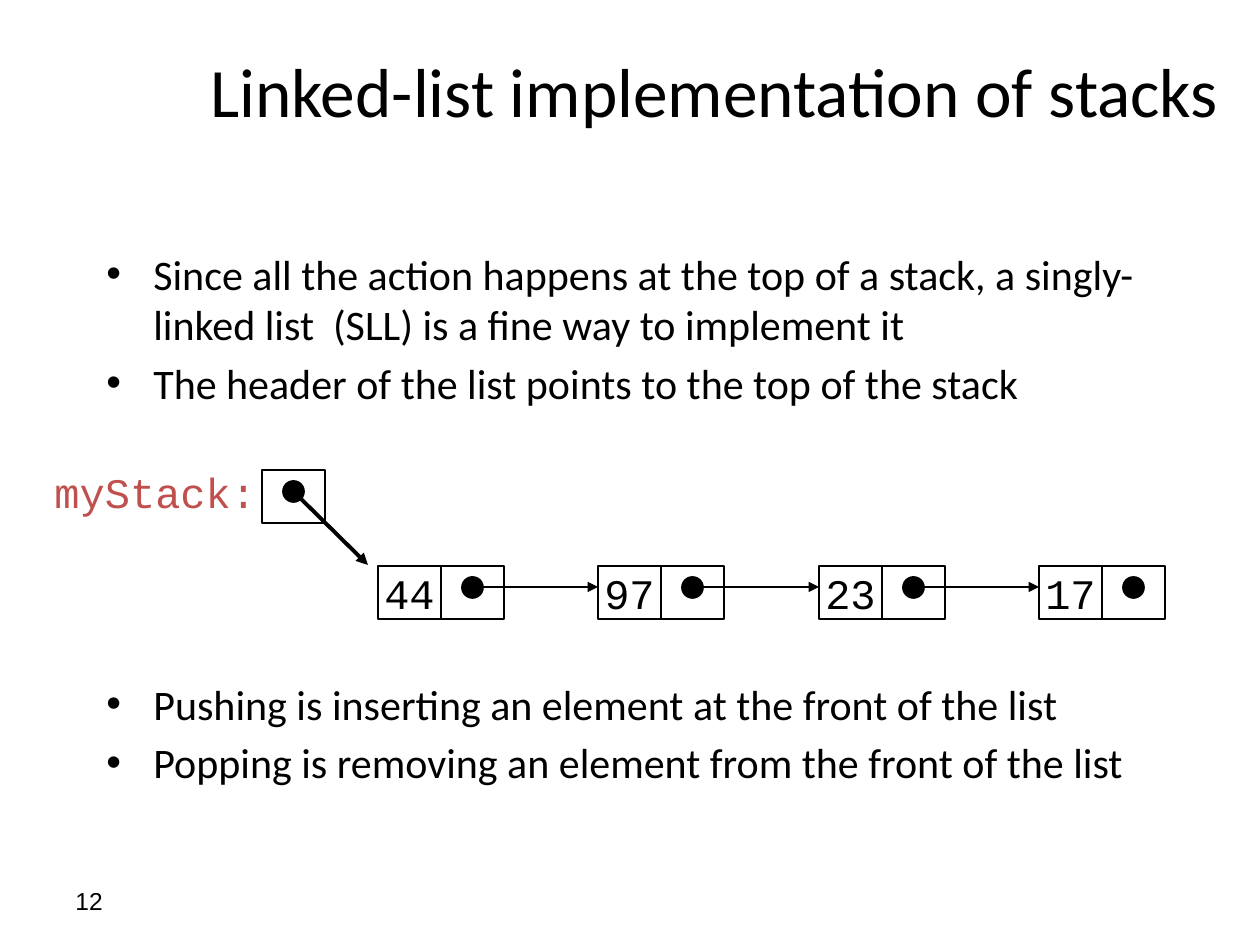
from dataclasses import dataclass
from pptx import Presentation
from pptx.dml.color import RGBColor
from pptx.enum.shapes import MSO_CONNECTOR, MSO_SHAPE
from pptx.enum.text import MSO_ANCHOR, MSO_AUTO_SIZE, PP_ALIGN
from pptx.oxml.ns import qn
from pptx.util import Emu, Pt
from lxml.etree import SubElement

PIXEL = 914400 // 126


@dataclass(frozen=True)
class Theme:
    ink: RGBColor = RGBColor(0, 0, 0)
    accent: RGBColor = RGBColor(0xC0, 0x50, 0x4D)
    text_font: str = "Calibri"
    code_font: str = "Courier New"
    number_font: str = "Arial"
    title_size: float = 39.6
    body_size: int = 24
    number_size: int = 14
    thin_line: float = 1
    thick_line: float = 2.25


class SlideBuilder:
    def __init__(self, slide, theme):
        self.slide = slide
        self.theme = theme

    def box(self, *lengths):
        return [Emu(length * PIXEL) for length in lengths]

    def format_text(self, paragraph, font_name, size, color=None):
        for run in paragraph.runs:
            run.font.name = font_name
            run.font.size = Pt(size)
            run.font.color.rgb = color or self.theme.ink

    def title(self, text, left, top, width, height):
        shape = self.slide.shapes.title
        shape.left, shape.top, shape.width, shape.height = self.box(left, top, width, height)
        frame = shape.text_frame
        frame.text = text
        frame.auto_size = MSO_AUTO_SIZE.NONE
        frame.vertical_anchor = MSO_ANCHOR.MIDDLE
        frame.paragraphs[0].alignment = PP_ALIGN.CENTER
        self.format_text(frame.paragraphs[0], self.theme.text_font, self.theme.title_size)

    def text(self, text, left, top, width, height, font_name, size, color=None, anchor=MSO_ANCHOR.TOP):
        frame = self.slide.shapes.add_textbox(*self.box(left, top, width, height)).text_frame
        frame.word_wrap = True
        frame.vertical_anchor = anchor
        frame.text = text
        for paragraph in frame.paragraphs:
            self.format_text(paragraph, font_name, size, color)
        return frame

    def bullets(self, items, left, top, width, height):
        frame = self.text("\n".join(items), left, top, width, height,
                          self.theme.text_font, self.theme.body_size)
        for paragraph in frame.paragraphs:
            paragraph.space_before = Pt(self.theme.body_size * 0.2)
            properties = paragraph._p.get_or_add_pPr()
            properties.set("marL", str(47 * PIXEL))
            properties.set("indent", str(-47 * PIXEL))
            SubElement(properties, qn("a:buFont"), typeface="Arial")
            SubElement(properties, qn("a:buChar"), char="•")

    def outline(self, kind, left, top, width, height):
        shape = self.slide.shapes.add_shape(kind, *self.box(left, top, width, height))
        shape.shadow.inherit = False
        shape.fill.background()
        shape.line.color.rgb = self.theme.ink
        shape.line.width = Pt(self.theme.thin_line)
        return shape

    def cell(self, left, top, text=""):
        shape = self.outline(MSO_SHAPE.RECTANGLE, left, top, CELL_WIDTH, CELL_HEIGHT)
        if text:
            frame = shape.text_frame
            frame.word_wrap = False
            frame.vertical_anchor = MSO_ANCHOR.MIDDLE
            frame.text = text
            frame.paragraphs[0].alignment = PP_ALIGN.CENTER
            self.format_text(frame.paragraphs[0], self.theme.code_font, self.theme.body_size)

    def dot(self, center_x, center_y):
        radius = DOT_SIZE // 2
        shape = self.outline(MSO_SHAPE.OVAL, center_x - radius, center_y - radius, DOT_SIZE, DOT_SIZE)
        shape.fill.solid()
        shape.fill.fore_color.rgb = self.theme.ink

    def arrow(self, start_x, start_y, end_x, end_y, width):
        connector = self.slide.shapes.add_connector(
            MSO_CONNECTOR.STRAIGHT, *self.box(start_x, start_y, end_x, end_y))
        connector.line.color.rgb = self.theme.ink
        connector.line.width = Pt(width)
        SubElement(connector.line._get_or_add_ln(), qn("a:tailEnd"), type="triangle")
        SubElement(connector._element.spPr, qn("a:effectLst"))


CELL_WIDTH, CELL_HEIGHT, DOT_SIZE = 63, 53, 21
NODE_LEFT, NODE_TOP, NODES_SPAN = 378, 566, 882
HEADER_LEFT, HEADER_TOP = 262, 470
DOT_DROP = 21
VALUES = ["44", "97", "23", "17"]

presentation = Presentation()
presentation.slide_width, presentation.slide_height = Emu(1260 * PIXEL), Emu(945 * PIXEL)
theme = Theme()
builder = SlideBuilder(presentation.slides.add_slide(presentation.slide_layouts[5]), theme)

builder.title("Linked-list implementation of stacks", 179, 32, 1071, 116)
builder.bullets([
    "Since all the action happens at the top of a stack, a singly-linked list  (SLL) "
    "is a fine way to implement it",
    "The header of the list points to the top of the stack",
], 94, 242, 1113, 179)

node_lefts = [NODE_LEFT + NODES_SPAN * index // len(VALUES) for index in range(len(VALUES))]
dot_y = NODE_TOP + DOT_DROP
for value, left, next_left in zip(VALUES, node_lefts, node_lefts[1:] + [None]):
    dot_x = left + CELL_WIDTH + CELL_WIDTH // 2
    builder.cell(left, NODE_TOP, value)
    builder.cell(left + CELL_WIDTH, NODE_TOP)
    builder.dot(dot_x, dot_y)
    if next_left is not None:
        builder.arrow(dot_x, dot_y, next_left, dot_y, theme.thin_line)

header_x, header_y = HEADER_LEFT + CELL_WIDTH // 2, HEADER_TOP + DOT_DROP
builder.cell(HEADER_LEFT, HEADER_TOP)
builder.dot(header_x, header_y)
builder.arrow(header_x, header_y, 368, 565, theme.thick_line)
builder.text("myStack:", 42, 460, 231, 63, theme.code_font, theme.body_size, theme.accent)

builder.bullets([
    "Pushing is inserting an element at the front of the list",
    "Popping is removing an element from the front of the list",
], 94, 672, 1071, 220)
builder.text("12", 63, 876, 294, 50, theme.number_font, theme.number_size, anchor=MSO_ANCHOR.MIDDLE)

presentation.save("out.pptx")
